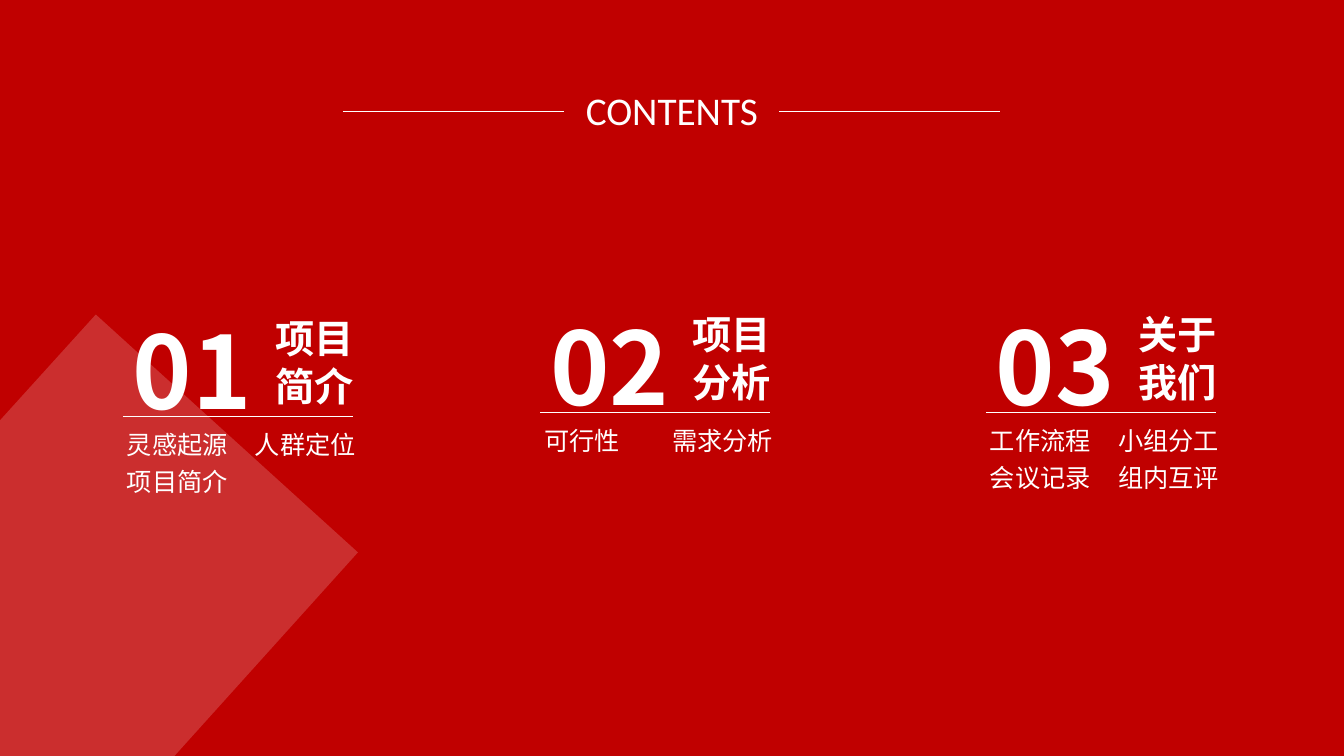
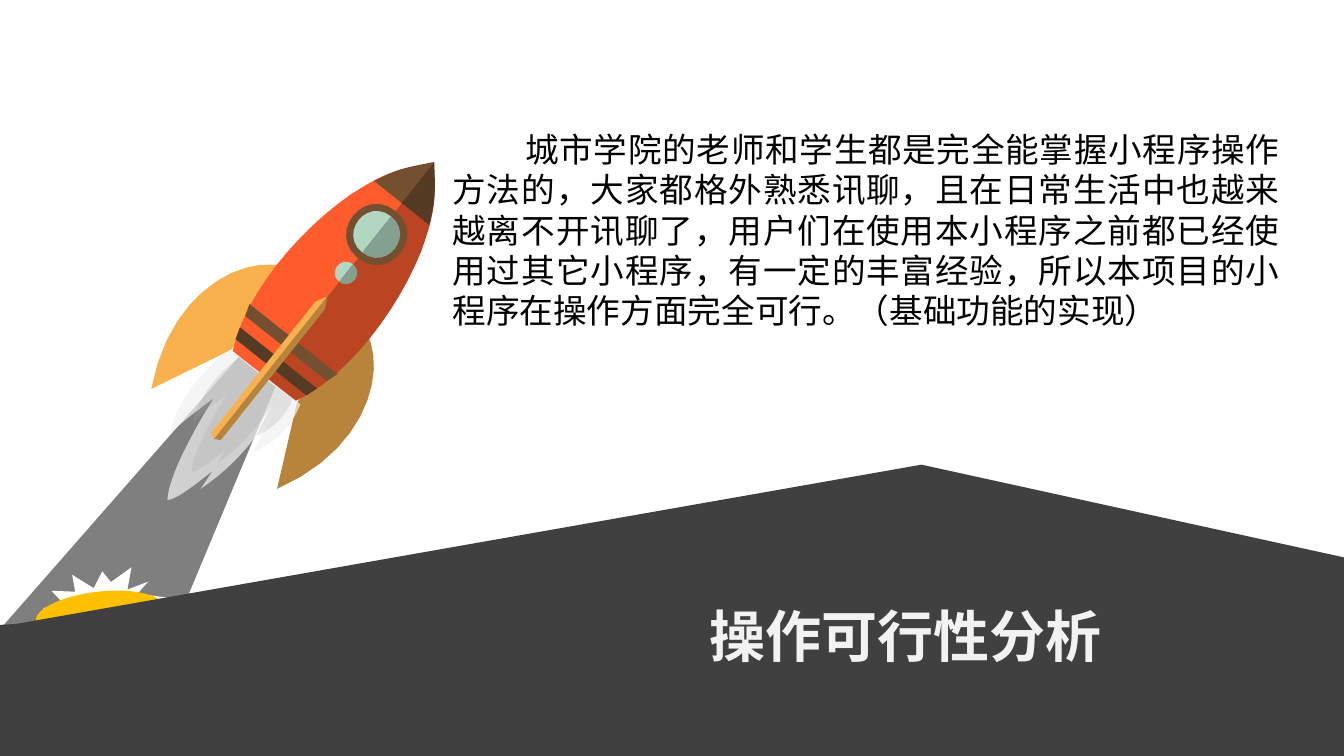
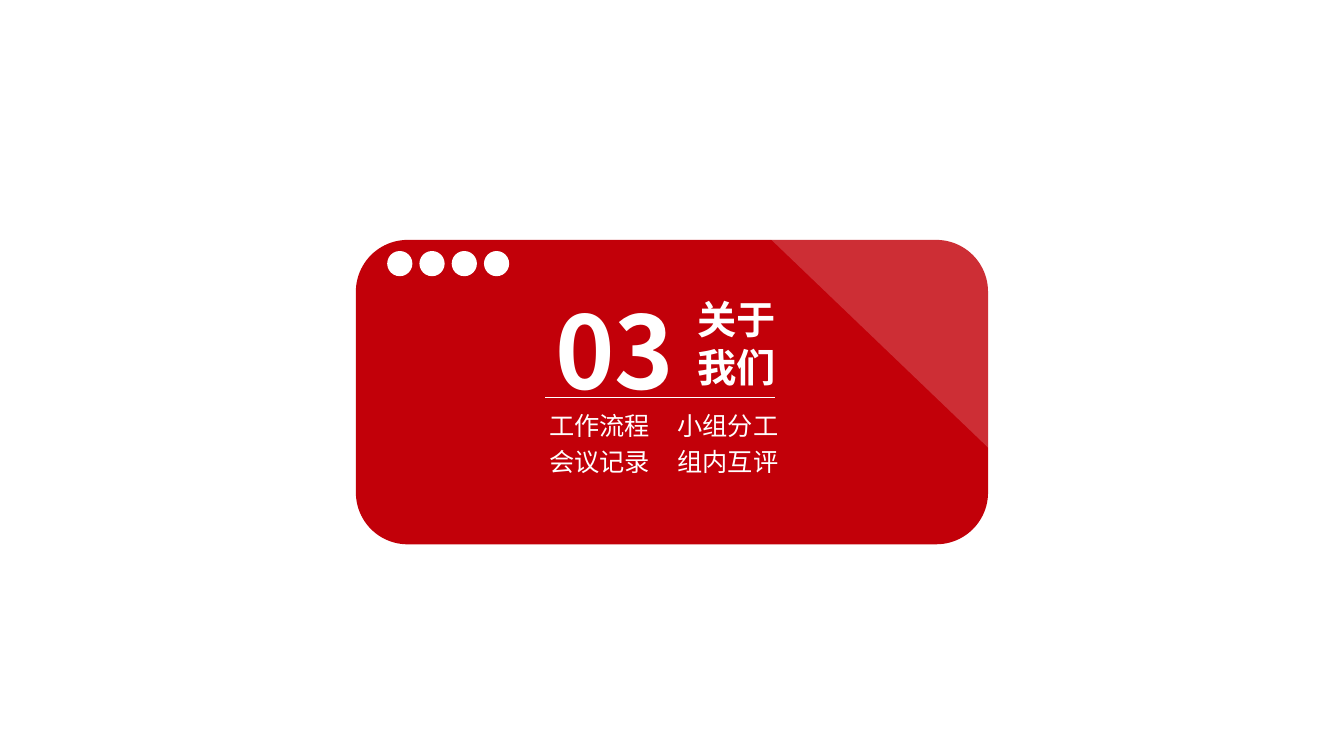
import pptx
import pptx.util
import pptx.dml.color
import pptx.enum.shapes
import pptx.enum.text
import pptx.oxml.ns
from lxml import etree

PX = 9144  # EMU in one px, 100 px to the inch
SLIDE_W, SLIDE_H = 1333, 750
CURVE_STEPS = 12
CJK, LATIN = "Noto Sans CJK SC", "Calibri"
SHAPES = pptx.enum.shapes.MSO_SHAPE
ALIGN = pptx.enum.text.PP_ALIGN

COLORS = {
    "red": "C00000", "card": "C20009", "white": "FFFFFF", "black": "000000",
    "hill": "404040", "pale": "F2F2F2", "smoke": "7F7F7F", "ash": "A6A6A6",
    "sun": "FFC000", "fin": "F9B14E", "fin_shade": "B8843B",
    "body": "FE5C2D", "body_shade": "BB4522",
    "brown": "744F30", "brown_shade": "563B24",
    "glass": "B2D7C1", "glass_shade": "83A091",
}

# Outlines are a start point, then lines (x, y) and Bezier curves (six numbers).
# Rocket halves are given as (distance from the tail, distance from the axis).
TAIL, AXIS = (262, 373), (0.62, -0.78)
FIN = [(100, 42), (96, 82, 18, 132, -80, 80), (0, 42)]
HULL = [(0, 0), (0, 40), (53, 66, 135, 63, 195, 45), (242, 29, 244, 22, 272, 0)]
NOSE = [(220, 0), (220, 35), (244, 24, 249, 20, 272, 0)]
STRUT = [(101, 0), (90, 6), (-77, 6), (-80, 0)]
FLAME = [(228, 347), (298, 401), (294, 410, 285, 433, 251, 449), (273, 405),
         (253, 436, 234, 461, 199, 485), (211, 467), (185, 488, 172, 496, 166, 496),
         (167, 474, 189, 432, 212, 395), (189, 412, 175, 423, 168, 432),
         (179, 382, 221, 352, 228, 347)]
FLAME_CORE = (266, 380)

ABOUT_US = ("03", "关于\n我们", [["工作流程", "小组分工"], ["会议记录", "组内互评"]])


def emu(*lengths):
    return [round(length * PX) for length in lengths]


def rgb(color):
    return pptx.dml.color.RGBColor.from_string(COLORS[color])


def new_slide(prs, background):
    slide = prs.slides.add_slide(prs.slide_layouts[5])
    slide.background.fill.solid()
    slide.background.fill.fore_color.rgb = rgb(background)
    return slide


def paint(shape, color, opacity=100):
    shape.shadow.inherit = False
    shape.line.fill.background()
    shape.fill.solid()
    shape.fill.fore_color.rgb = rgb(color)
    if opacity < 100:
        srgb = shape.element.spPr.find(".//" + pptx.oxml.ns.qn("a:srgbClr"))
        etree.SubElement(srgb, pptx.oxml.ns.qn("a:alpha"), val=str(opacity * 1000))


def preset(slide, kind, box, color, opacity=100, rotation=0):
    shape = slide.shapes.add_shape(kind, *emu(*box))
    shape.rotation = rotation
    paint(shape, color, opacity)
    return shape


def flatten(outline):
    """Turn lines and Bezier curves into a list of points."""
    points = [outline[0]]
    for segment in outline[1:]:
        if len(segment) == 2:
            points.append(segment)
            continue
        controls = [points[-1], segment[:2], segment[2:4], segment[4:]]
        for step in range(1, CURVE_STEPS + 1):
            t = step / CURVE_STEPS
            weights = ((1 - t) ** 3, 3 * t * (1 - t) ** 2, 3 * t * t * (1 - t), t ** 3)
            points.append(tuple(sum(w * c[axis] for w, c in zip(weights, controls))
                                for axis in (0, 1)))
    return points


def polygon(slide, points, color, opacity=100):
    start, *others = [emu(*point) for point in points]
    builder = slide.shapes.build_freeform(*start, scale=1.0)
    builder.add_line_segments(others, close=True)
    paint(builder.convert_to_shape(), color, opacity)


def mirrored(slide, outline, left_color, right_color):
    """Draw a rocket part on both sides of the tilted axis."""
    along_x, along_y = AXIS
    for side, color in ((-1, left_color), (1, right_color)):
        points = [(TAIL[0] + u * along_x - side * v * along_y,
                   TAIL[1] + u * along_y + side * v * along_x)
                  for u, v in flatten(outline)]
        polygon(slide, points, color)


def half_disc(center, radius):
    bulge = radius * 4 / 3
    near, far = center - radius, center + radius
    return [(near, 0), (near, bulge, far, bulge, far, 0)]


def rocket(slide):
    mirrored(slide, FIN, "fin", "fin_shade")
    mirrored(slide, HULL, "body", "body_shade")
    mirrored(slide, NOSE, "brown", "brown_shade")
    for base, half_width, color in ((35, 54, "brown"), (11, 47, "brown_shade")):
        band = [(base, 0), (base, half_width - 2), (base + 12, half_width + 2),
                (base + 12, 0)]
        mirrored(slide, band, color, color)
    mirrored(slide, half_disc(180, 30), "brown", "brown")
    for center, radius in ((180, 23), (131, 11)):
        mirrored(slide, half_disc(center, radius), "glass", "glass_shade")
    for color, opacity, scale in (("pale", 71, 1), ("ash", 25, 0.76)):
        points = [tuple(core + (value - core) * scale
                        for value, core in zip(point, FLAME_CORE))
                  for point in flatten(FLAME)]
        polygon(slide, points, color, opacity)
    mirrored(slide, STRUT, "fin", "fin_shade")


def rule(slide, x, y, length):
    line = slide.shapes.add_connector(
        pptx.enum.shapes.MSO_CONNECTOR.STRAIGHT, *emu(x, y, x + length, y))
    line.line.color.rgb = rgb("white")
    line.line.width = pptx.util.Pt(0.5)
    etree.SubElement(line.element.spPr, pptx.oxml.ns.qn("a:effectLst"))


def write(slide, box, text, size, font=CJK, color="white", bold=False,
          align=ALIGN.LEFT, indent=0, is_title=False):
    """Put text in a new box, or in the title placeholder, above what is drawn so far."""
    if is_title:
        shape = slide.shapes.title
        shape.element.getparent().append(shape.element)
        shape.left, shape.top, shape.width, shape.height = emu(*box)
    else:
        shape = slide.shapes.add_textbox(*emu(*box))
    frame = shape.text_frame
    frame.word_wrap = True
    frame.auto_size = pptx.enum.text.MSO_AUTO_SIZE.NONE
    frame.vertical_anchor = pptx.enum.text.MSO_ANCHOR.TOP
    frame.text = text
    for paragraph in frame.paragraphs:
        paragraph.alignment = align
        if font == CJK:
            paragraph.line_spacing = pptx.util.Pt(round(size * 1.21, 1))
        if indent:
            paragraph._p.get_or_add_pPr().set("indent", str(indent * PX))
        for run in paragraph.runs:
            run.font.size = pptx.util.Pt(size)
            run.font.bold = bold
            run.font.color.rgb = rgb(color)
            run.font.name = font
            etree.SubElement(run.font._element, pptx.oxml.ns.qn("a:ea"), typeface=font)


def section(slide, x, y, number, label, topics, is_title=False):
    """Number and label over a rule, with a grid of topics below."""
    write(slide, (x, y + 8, 175, 131), number, 72, bold=True)
    write(slide, (x + 141, y + 15, 153, 104), label, 28, bold=True, is_title=is_title)
    rule(slide, x, y + 121, 228)
    for row, names in enumerate(topics):
        for column, name in enumerate(names):
            write(slide, (x - 6 + 127 * column, y + 129 + 36 * row, 148, 40), name, 18)


def contents_slide(prs):
    slide = new_slide(prs, "red")
    write(slide, (571, 81, 202, 57), "CONTENTS", 28, font=LATIN, is_title=True)
    for x in (340, 773):
        rule(slide, x, 110, 219)
    section(slide, 122, 292, "01", "项目\n简介", [["灵感起源", "人群定位"], ["项目简介"]])
    section(slide, 536, 288, "02", "项目\n分析", [["可行性", "需求分析"]])
    section(slide, 978, 288, *ABOUT_US)
    polygon(slide, [(95, 312), (355, 548), (173, SLIDE_H), (0, SLIDE_H), (0, 417)],
            "white", 18)


def feasibility_slide(prs):
    slide = new_slide(prs, "white")
    polygon(slide, [(237, 354), (273, 384), (138, 707), (2, 622)], "smoke")
    rocket(slide)
    preset(slide, SHAPES.EXPLOSION2, (43, 560, 121, 84), "white", rotation=6.5)
    preset(slide, SHAPES.OVAL, (35, 587, 128, 45), "sun", rotation=353.5)
    polygon(slide, [(914, 461), (SLIDE_W, 553), (SLIDE_W, SLIDE_H), (0, SLIDE_H),
                    (0, 620), (16, 619)], "hill")
    write(slide, (694, 591, 615, 77), "操作可行性分析", 40, color="pale", bold=True,
          is_title=True)
    write(slide, (439, 123, 840, 212),
          "城市学院的老师和学生都是完全能掌握小程序操作方法的，大家都格外熟悉讯聊，"
          "且在日常生活中也越来越离不开讯聊了，用户们在使用本小程序之前都已经使用过其它小程序，"
          "有一定的丰富经验，所以本项目的小程序在操作方面完全可行。（基础功能的实现）",
          24, font=LATIN, color="black", align=ALIGN.JUSTIFY, indent=72)


def about_us_slide(prs):
    slide = new_slide(prs, "white")
    card = preset(slide, SHAPES.ROUNDED_RECTANGLE, (353, 238, 627, 302), "card")
    card.adjustments[0] = 0.17
    for dot in range(4):
        preset(slide, SHAPES.OVAL, (384 + 32 * dot, 249, 25, 25), "white")
    preset(slide, SHAPES.RECTANGLE, (818, 46, 219, 392), "white", 18, rotation=313.8)
    section(slide, 541, 273, *ABOUT_US, is_title=True)


def main():
    prs = pptx.Presentation()
    prs.slide_width, prs.slide_height = emu(SLIDE_W, SLIDE_H)
    contents_slide(prs)
    feasibility_slide(prs)
    about_us_slide(prs)
    prs.save("out.pptx")


if __name__ == "__main__":
    main()
